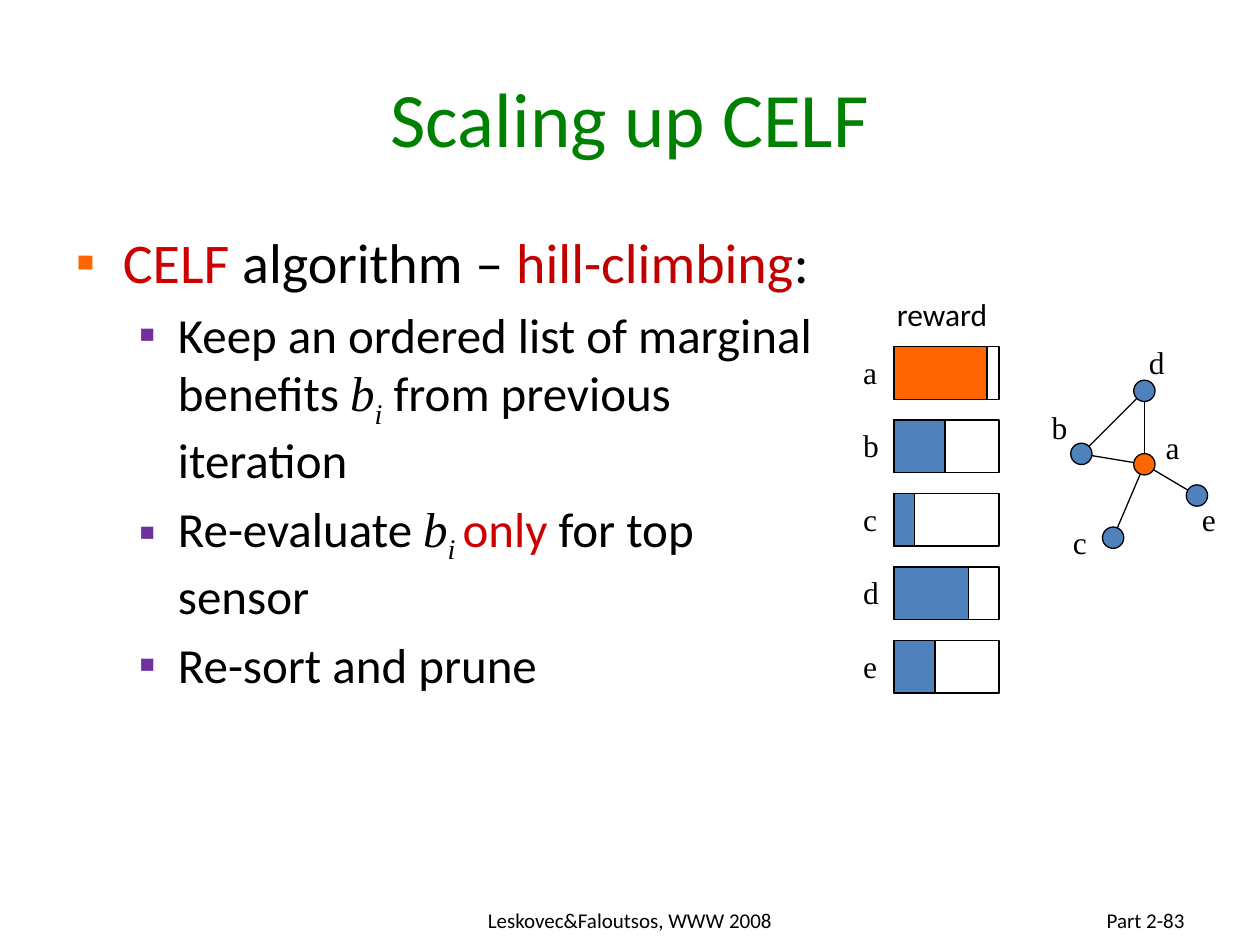
from lxml import etree
from pptx import Presentation
from pptx.dml.color import RGBColor
from pptx.enum.shapes import MSO_CONNECTOR, MSO_SHAPE
from pptx.enum.text import MSO_ANCHOR, MSO_AUTO_SIZE, PP_ALIGN
from pptx.oxml.ns import qn
from pptx.util import Cm, Pt

RECTANGLE, OVAL = MSO_SHAPE.RECTANGLE, MSO_SHAPE.OVAL
STRAIGHT = MSO_CONNECTOR.STRAIGHT
MIDDLE, TOP = MSO_ANCHOR.MIDDLE, MSO_ANCHOR.TOP
LEFT, CENTER, RIGHT = PP_ALIGN.LEFT, PP_ALIGN.CENTER, PP_ALIGN.RIGHT

THEME = {
    "black": RGBColor(0x00, 0x00, 0x00),
    "green": RGBColor(0x00, 0x80, 0x00),
    "red": RGBColor(0xCC, 0x00, 0x00),
    "dark_red": RGBColor(0xC0, 0x00, 0x00),
    "blue": RGBColor(0x4F, 0x81, 0xBD),
    "orange": RGBColor(0xFF, 0x66, 0x00),
    "bullets": ("FF6600", "7030A0"),
    "levels": (Pt(32), Pt(28)),
    "title": Pt(44),
    "label": Pt(18),
    "footer": Pt(12),
    "line": Pt(0.75),
    "sans": "Calibri",
    "serif": "Times New Roman",
}

presentation = Presentation()
presentation.slide_width, presentation.slide_height = Cm(25.4), Cm(19.05)
slide = presentation.slides.add_slide(presentation.slide_layouts[1])
shapes = slide.shapes


def add_text(text, left, top, width, font, size, align=LEFT, anchor=TOP, wrap=False):
    box = shapes.add_textbox(Cm(left), Cm(top), Cm(width), Cm(1.02))
    frame = box.text_frame
    frame.word_wrap, frame.vertical_anchor = wrap, anchor
    paragraph = frame.paragraphs[0]
    paragraph.alignment = align
    run = paragraph.add_run()
    run.text = text
    style = {"name": THEME[font], "size": THEME[size]}
    for name, value in style.items():
        setattr(run.font, name, value)
    run.font.color.rgb = THEME["black"]


def add_outlined(kind, left, top, width, height, color=None):
    shape = shapes.add_shape(kind, Cm(left), Cm(top), Cm(width), Cm(height))
    shape.shadow.inherit = False
    if color:
        shape.fill.solid()
        shape.fill.fore_color.rgb = THEME[color]
    else:
        shape.fill.background()
    shape.line.color.rgb = THEME["black"]
    shape.line.width = THEME["line"]


# Title and body placeholders
title, body = shapes.title, slide.placeholders[1]
for placeholder, place in (
    (title, (1.27, 0.76, 22.86, 3.18)),
    (body, (1.27, 4.45, 15.67, 13.97)),
):
    for name, value in zip(("left", "top", "width", "height"), place):
        setattr(placeholder, name, Cm(value))
    placeholder.text_frame.auto_size = MSO_AUTO_SIZE.NONE
    placeholder.text_frame.word_wrap = True

title.text_frame.text = "Scaling up CELF"
title.text_frame.vertical_anchor = MIDDLE
title_paragraph = title.text_frame.paragraphs[0]
title_paragraph.alignment = CENTER
for name, value in {"name": THEME["sans"], "size": THEME["title"]}.items():
    setattr(title_paragraph.runs[0].font, name, value)
title_paragraph.runs[0].font.color.rgb = THEME["green"]

# Bulleted list: level, then (text, style) runs
STYLES = {
    "plain": ("sans", "black"),
    "red": ("sans", "red"),
    "dark_red": ("sans", "dark_red"),
    "symbol": ("serif", "black"),
    "subscript": ("serif", "black"),
}
bullet_list = [
    (0, [("CELF ", "red"), ("algorithm – ", "plain"),
         ("hill-climbing", "dark_red"), (":", "plain")]),
    (1, [("Keep an ordered list of marginal benefits ", "plain"), ("b", "symbol"),
         ("i", "subscript"), (" from previous iteration", "plain")]),
    (1, [("Re-evaluate ", "plain"), ("b", "symbol"), ("i ", "subscript"),
         ("only ", "red"), ("for top sensor", "plain")]),
    (1, [("Re-sort and prune", "plain")]),
]
frame = body.text_frame
for index, (level, runs) in enumerate(bullet_list):
    paragraph = frame.add_paragraph() if index else frame.paragraphs[0]
    paragraph.level = level
    if index == 0:
        paragraph.space_before = Pt(0)
    properties = paragraph._p.get_or_add_pPr()
    bullet_color = etree.SubElement(properties, qn("a:buClr"))
    etree.SubElement(bullet_color, qn("a:srgbClr"), val=THEME["bullets"][level])
    etree.SubElement(properties, qn("a:buChar"), char="▪")
    for text, style in runs:
        font_name, color = STYLES[style]
        run = paragraph.add_run()
        run.text = text
        formats = {
            "name": THEME[font_name],
            "size": THEME["levels"][level],
            "italic": font_name == "serif",
        }
        for name, value in formats.items():
            setattr(run.font, name, value)
        run.font.color.rgb = THEME[color]
        if style == "subscript":
            run._r.get_or_add_rPr().set("baseline", "-25000")

# Reward bars
BAR_LEFT, BAR_TOP, BAR_STEP, BAR_WIDTH, BAR_HEIGHT = 18.02, 6.99, 1.48, 2.12, 1.06
add_text("reward", 17.83, 5.82, 2.46, "sans", "label")
rewards = {"a": 1.88, "b": 1.03, "c": 0.42, "d": 1.5, "e": 0.83}
for row, (node, reward) in enumerate(rewards.items()):
    top = BAR_TOP + row * BAR_STEP
    add_outlined(RECTANGLE, BAR_LEFT, top, BAR_WIDTH, BAR_HEIGHT)
    add_outlined(RECTANGLE, BAR_LEFT, top, reward, BAR_HEIGHT,
                 "orange" if node == "a" else "blue")
    add_text(node, 17.15, top, 0.8, "serif", "label")

# Sensor graph: node centre and label corner
DIAMETER = 0.43
nodes = {
    "a": ((23.07, 9.36), (23.25, 8.5)),
    "b": ((21.8, 9.15), (20.95, 8.1)),
    "c": ((22.44, 10.84), (21.38, 10.41)),
    "d": ((23.07, 7.88), (22.91, 6.79)),
    "e": ((24.13, 9.99), (23.98, 9.96)),
}
for start, end in ("db", "ac", "da", "ea", "ab"):
    points = nodes[start][0] + nodes[end][0]
    edge = shapes.add_connector(STRAIGHT, *(Cm(value) for value in points))
    edge.line.color.rgb = THEME["black"]
    edge.line.width = THEME["line"]
    etree.SubElement(edge._element.spPr, qn("a:effectLst"))
for node, ((x, y), (label_left, label_top)) in nodes.items():
    add_outlined(OVAL, x - DIAMETER / 2, y - DIAMETER / 2, DIAMETER, DIAMETER,
                 "orange" if node == "a" else "blue")
    add_text(node, label_left, label_top, 0.8, "serif", "label")

# Footer
add_text("Leskovec&Faloutsos, WWW 2008", 8.68, 18.03, 8.04, "sans", "footer",
         CENTER, MIDDLE, True)
add_text("Part 2-83", 18.2, 18.03, 5.93, "sans", "footer", RIGHT, MIDDLE, True)

presentation.save("out.pptx")
